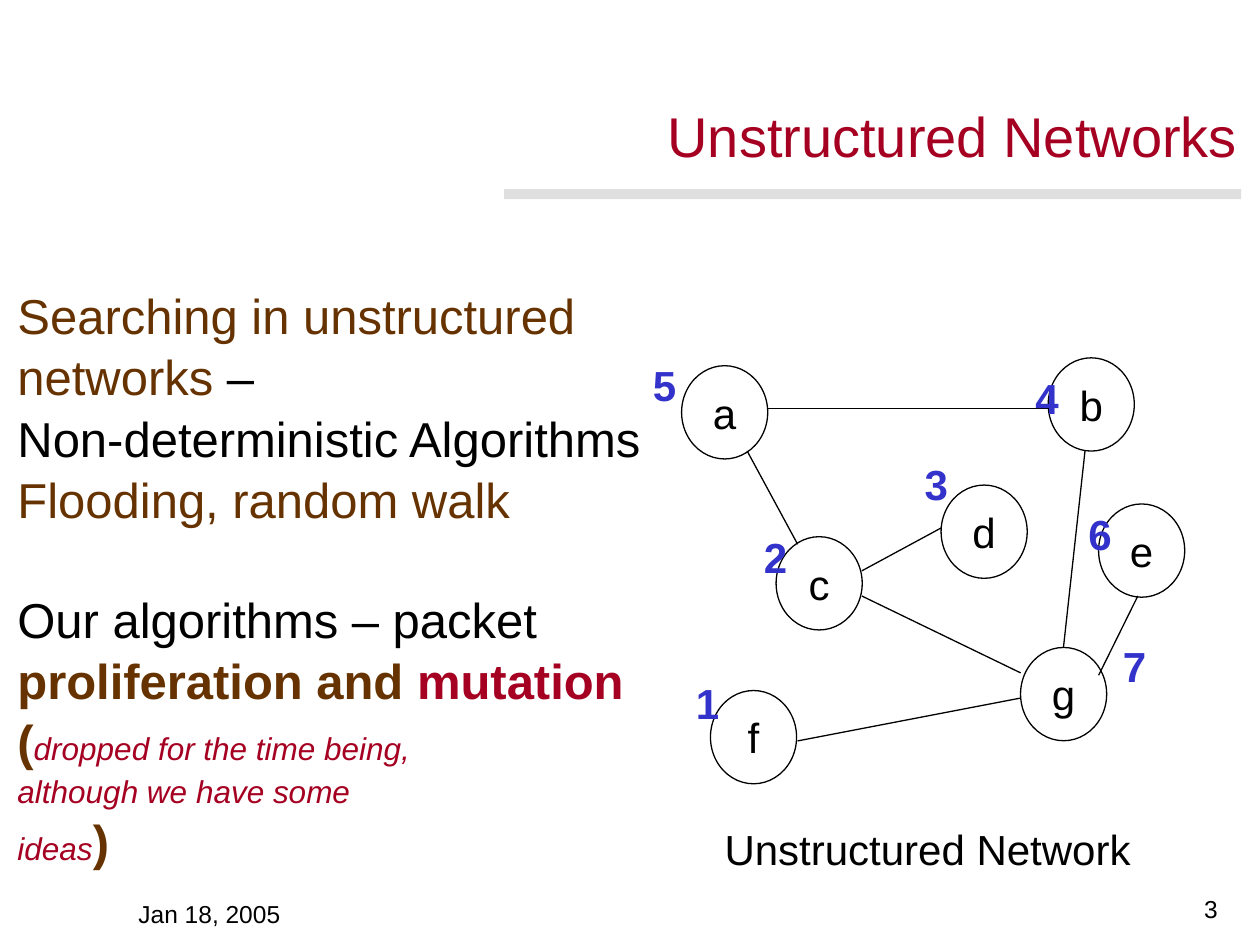
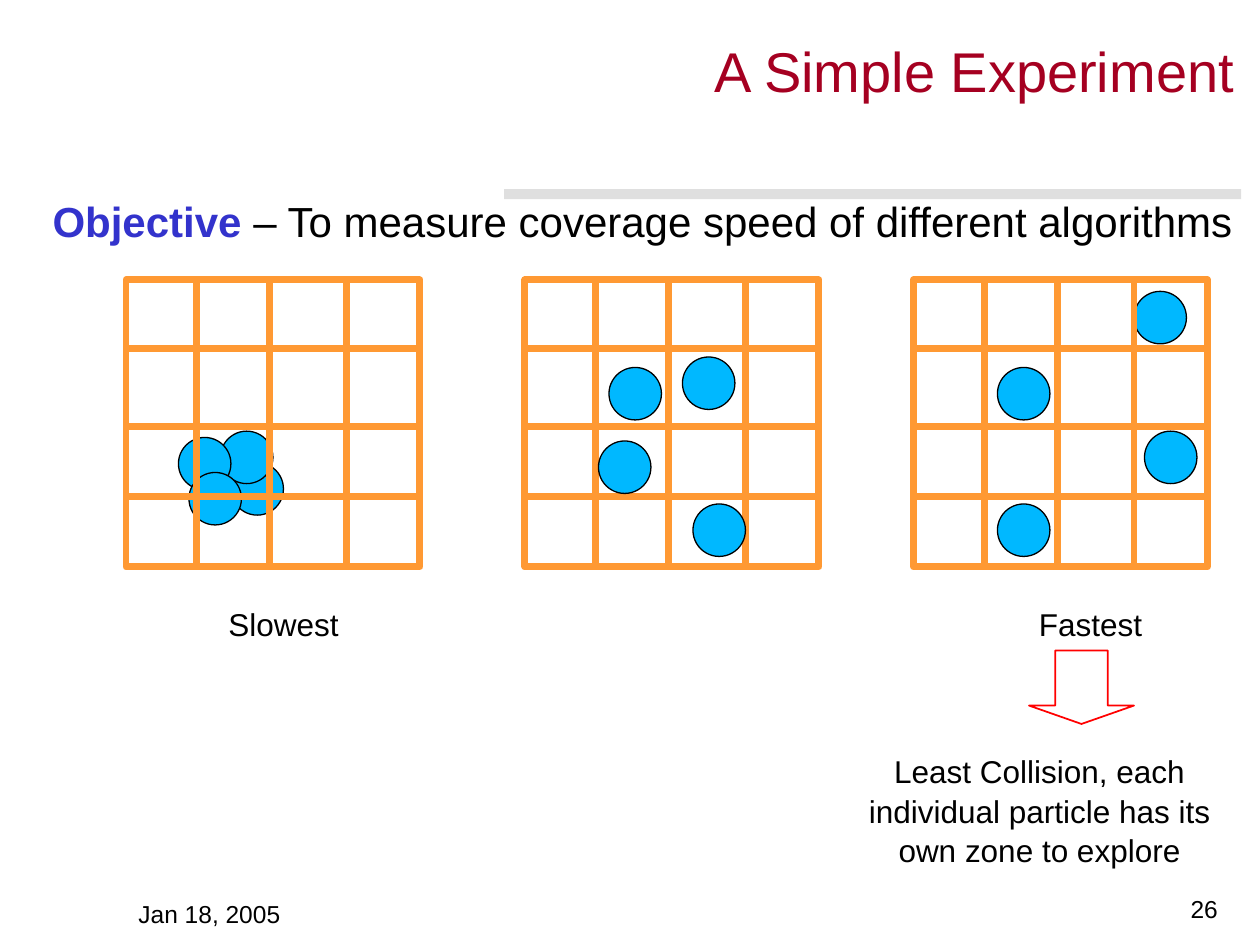
from lxml.etree import SubElement
from pptx import Presentation
from pptx.dml.color import RGBColor
from pptx.enum.shapes import MSO_CONNECTOR as Link, MSO_SHAPE as Shape
from pptx.enum.text import MSO_ANCHOR as Anchor, PP_ALIGN as Align
from pptx.oxml.ns import qn
from pptx.util import Pt

BLACK = RGBColor(0x00, 0x00, 0x00)
WHITE = RGBColor(0xFF, 0xFF, 0xFF)
SILVER = RGBColor(0xC0, 0xC0, 0xC0)
CRIMSON = RGBColor(0xA5, 0x00, 0x21)
BROWN = RGBColor(0x66, 0x33, 0x00)
BLUE = RGBColor(0x33, 0x33, 0xCC)
SKY = RGBColor(0x00, 0xB8, 0xFF)
ORANGE = RGBColor(0xFF, 0x99, 0x33)
RED = RGBColor(0xFF, 0x00, 0x00)

FONT = "Arial"
INSET = (7.2, 3.6)
BREAK = "\n"


# Shared drawing helpers; boxes are (left, top, width, height) in points
def write_span(para, text, color=BLACK, **formats):
    span = para.add_run()
    span.text = text
    span.font.color.rgb = color
    for name, value in {"name": FONT, **formats}.items():
        setattr(span.font, name, value)


def fill_frame(frame, paragraphs, align=Align.LEFT, spacing=None,
               inset=INSET, wrap=True, anchor=Anchor.TOP):
    across, down = (Pt(side) for side in inset)
    settings = {"margin_left": across, "margin_right": across,
                "margin_top": down, "margin_bottom": down,
                "word_wrap": wrap, "vertical_anchor": anchor}
    for name, value in settings.items():
        setattr(frame, name, value)
    for index, spans in enumerate(paragraphs):
        para = frame.add_paragraph() if index else frame.paragraphs[0]
        para.alignment = align
        if spacing:
            para.line_spacing = spacing
        for span in spans:
            if span == BREAK:
                para.add_line_break()
            else:
                text, color, formats = span
                write_span(para, text, color, **formats)


def add_text(page, box, paragraphs, **layout):
    frame = page.shapes.add_textbox(*map(Pt, box)).text_frame
    fill_frame(frame, paragraphs, **layout)
    return frame


def add_label(page, box, text, size, color=BLACK, bold=False, **layout):
    formats = {"size": Pt(size), "bold": bold}
    return add_text(page, box, [[(text, color, formats)]], **layout)


def add_figure(page, kind, box, fill=None, line=None, width=0.75):
    figure = page.shapes.add_shape(kind, *map(Pt, box))
    figure.shadow.inherit = False
    if fill is None:
        figure.fill.background()
    else:
        figure.fill.solid()
        figure.fill.fore_color.rgb = fill
    if line is None:
        figure.line.fill.background()
    else:
        figure.line.color.rgb = line
        figure.line.width = Pt(width)
    return figure


def add_line(page, start, end, color=BLACK, width=0.75):
    line = page.shapes.add_connector(Link.STRAIGHT, *map(Pt, start + end))
    line.line.color.rgb = color
    line.line.width = Pt(width)
    SubElement(line._element.spPr, qn("a:effectLst"))


# Title, band and footers of every page
def start_page(deck, title, title_box, number):
    page = deck.slides.add_slide(deck.slide_layouts[6])
    add_label(page, (72, 509.8, 150, 24.5), "Jan 18, 2005", 14,
              anchor=Anchor.BOTTOM)
    add_label(page, (553, 506.8, 150, 24.5), number, 14,
              align=Align.RIGHT, anchor=Anchor.BOTTOM)
    band = add_figure(page, Shape.ROUNDED_RECTANGLE, (288, 108, 421.2, 5.8), SILVER)
    band.adjustments[0] = 0.02
    tint = band._element.spPr.find(qn("a:solidFill"))[0]
    SubElement(tint, qn("a:alpha"), val="50000")
    add_label(page, title_box, title, 32, CRIMSON, align=Align.RIGHT,
              spacing=Pt(33.2), inset=(0, 0))
    return page


# Text column about searching
def draw_search_text(page, box):
    plain = {"size": Pt(28)}
    strong = {"size": Pt(28), "bold": True}
    aside = {"size": Pt(18), "italic": True}
    frame = add_text(page, box, [
        [("Searching in unstructured networks", BROWN, plain),
         (" –", BLACK, plain)],
        [("Non-deterministic Algorithms", BLACK, plain)],
        [("Flooding, random walk", BROWN, plain)],
        [("Our algorithms – packet ", BLACK, plain),
         ("proliferation and ", BROWN, strong),
         ("mutation", CRIMSON, strong), BREAK,
         ("(", BROWN, strong),
         ("dropped for the time being,", CRIMSON, aside), BREAK,
         ("although we have some", CRIMSON, aside), BREAK,
         ("ideas", CRIMSON, aside), (")", BROWN, strong)],
    ], spacing=1.04)
    frame.paragraphs[-1].space_before = Pt(33.6)


# Network graph with numbered nodes; positions are relative to the corner
NODES = {"a": (23.5, 7), "b": (233, 2.5), "c": (77.5, 104.7),
         "d": (171.8, 75.2), "e": (261.8, 86), "f": (40, 192.6),
         "g": (217.2, 168)}
EDGES = [((61, 55.8), (89.8, 109)), ((126.5, 138.6), (217.2, 182.5)),
         ((171.8, 99.7), (126.5, 124.2)), ((89.8, 221.4), (217.2, 196.9)),
         ((73, 31.3), (233, 31.3)), ((254, 55.8), (241.7, 168)),
         ((284.2, 138.6), (261.8, 183.9))]
NUMBERS = {"1": (24.5, 181.5), "2": (63.4, 98), "3": (155.3, 56.2),
           "4": (218.6, 7.2), "5": (0, 0), "6": (248.9, 85),
           "7": (268.6, 160.6)}


def draw_network(page, corner):
    left, top = corner

    def place(point):
        return left + point[0], top + point[1]

    for name, point in NODES.items():
        node = add_figure(page, Shape.OVAL, place(point) + (49.2, 53.3),
                          WHITE, BLACK)
        fill_frame(node.text_frame, [[(name, BLACK, {"size": Pt(24)})]],
                   align=Align.CENTER, wrap=False, anchor=Anchor.MIDDLE)
    for start, end in EDGES:
        add_line(page, place(start), place(end))
    for number, point in NUMBERS.items():
        add_label(page, place(point) + (27.4, 36), number, 24, BLUE,
                  bold=True, wrap=False)
    add_label(page, place((48, 272.3)) + (275, 24.8), "Unstructured Network",
              24, spacing=Pt(24.8), inset=(0, 0))


# Grid with particles; positions are relative to the grid box
COLUMNS = (40.4, 82.2, 126)
ROWS = (38.9, 83.5, 123.9)
PARTICLE = 30


def draw_grid(page, box):
    left, top, width, height = box
    add_figure(page, Shape.RECTANGLE, box, line=ORANGE, width=4)
    for x in COLUMNS:
        add_line(page, (left + x, top), (left + x, top + height), ORANGE, 4)
    for y in ROWS:
        add_line(page, (left, top + y), (left + width, top + y), ORANGE, 4)


def draw_particles(page, box, particles):
    for x, y in particles:
        add_figure(page, Shape.OVAL,
                   (box[0] + x, box[1] + y, PARTICLE, PARTICLE), SKY, BLACK)


def draw_panel(page, box, particles, grid_on_top):
    if grid_on_top:
        draw_particles(page, box, particles)
        draw_grid(page, box)
    else:
        draw_grid(page, box)
        draw_particles(page, box, particles)


# Verdict under the last panel
def draw_verdict(page, corner):
    left, top = corner
    add_label(page, (left + 106.6, top, 115, 33), "Fastest", 18)
    add_figure(page, Shape.DOWN_ARROW, (left + 108, top + 29.7, 60, 42),
               line=RED, width=1).adjustments[1] = 0.25
    add_label(page, (left, top + 83.5, 228, 72),
              "Least Collision, each individual particle has its own zone to explore",
              18, align=Align.CENTER, spacing=1.04)


# Slides
def build_network_slide(deck):
    page = start_page(deck, "Unstructured Networks", (360, 63.4, 347.3, 33.2), "3")
    draw_search_text(page, (2.9, 158.4, 386, 332))
    draw_network(page, (366, 202))


def build_experiment_slide(deck):
    page = start_page(deck, "A Simple Experiment", (70.5, 25.9, 635, 33.2), "26")
    formats = {"size": Pt(24)}
    add_text(page, (23, 108, 692, 36), [[
        ("Objective", BLUE, {**formats, "bold": True}),
        (" – To measure coverage speed of different algorithms", BLACK, formats),
    ]], wrap=False)
    panels = [
        (72, [(60, 104.4), (54, 86.4), (30, 90), (36, 110)], True),
        (300, [(42, 92), (90, 44), (96, 128), (48, 50)], False),
        (522, [(48, 50), (48, 128), (132, 86.4), (126, 6.5)], True),
    ]
    for left, particles, grid_on_top in panels:
        draw_panel(page, (left, 160, 168, 164), particles, grid_on_top)
    add_label(page, (48, 342, 228, 29), "Slowest", 18, align=Align.CENTER)
    draw_verdict(page, (480, 342))


def main():
    deck = Presentation()
    deck.slide_width, deck.slide_height = Pt(720), Pt(540)
    build_network_slide(deck)
    build_experiment_slide(deck)
    deck.save("out.pptx")


if __name__ == "__main__":
    main()
